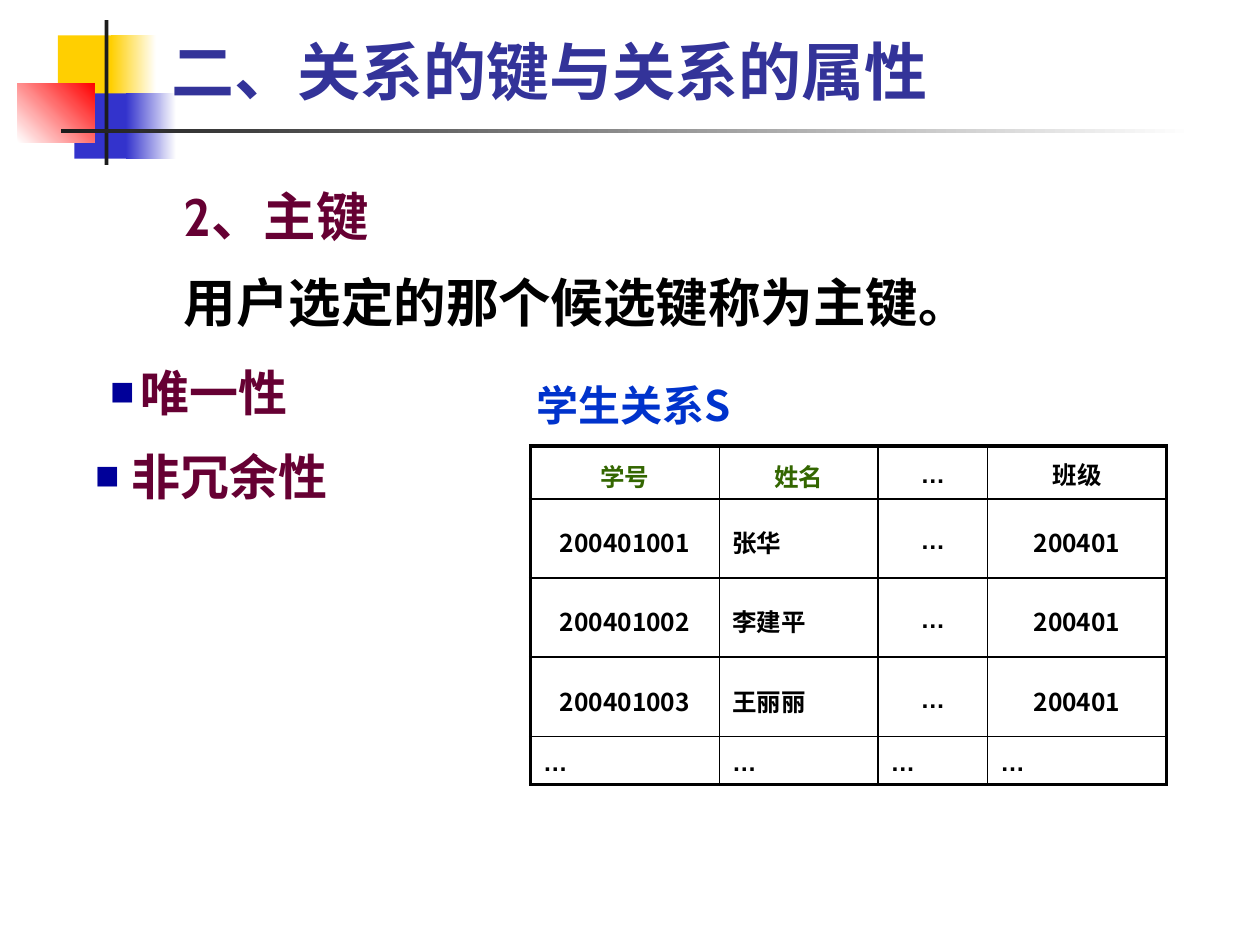
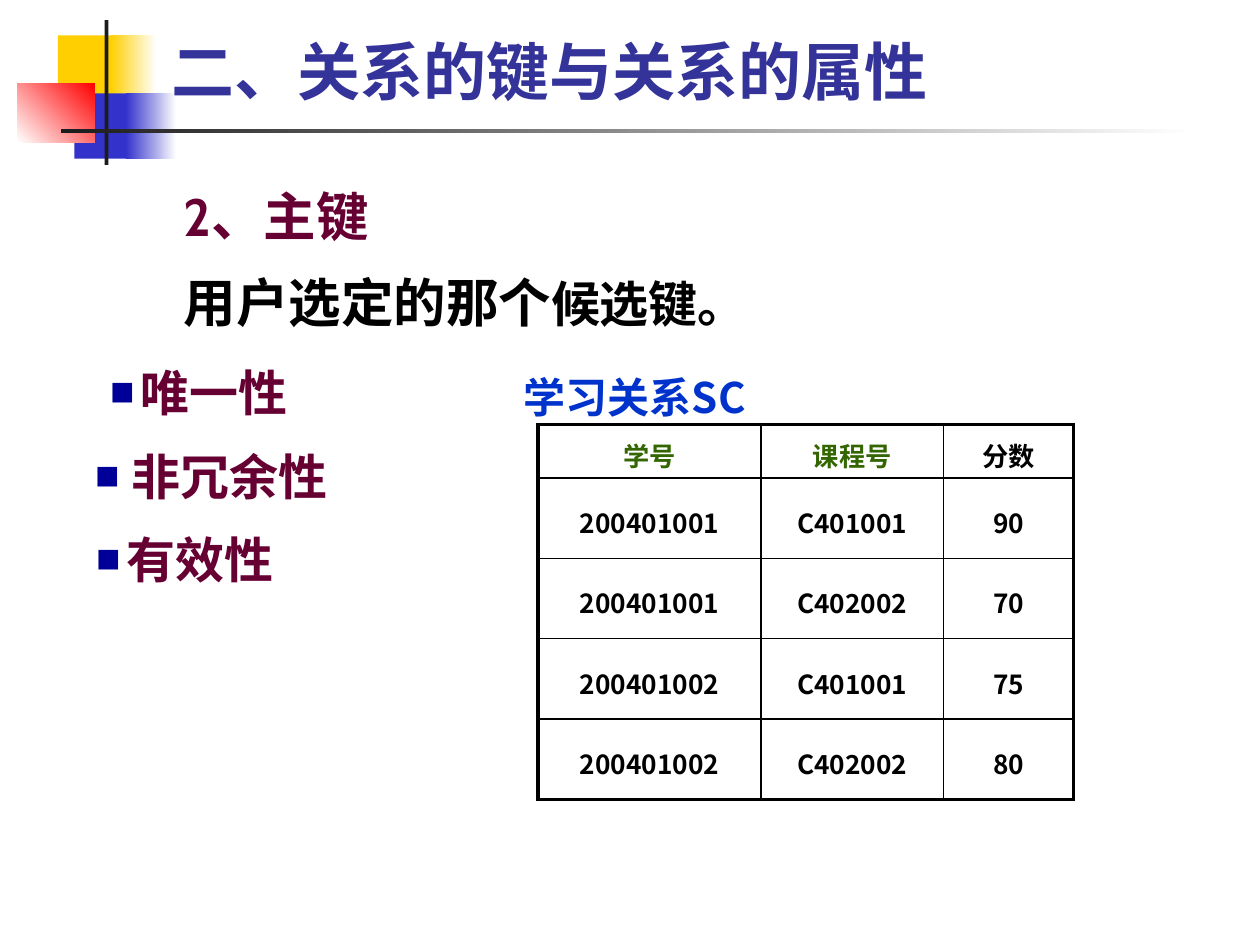
"""Build two slides on primary keys, each with a property list and a sample relation table."""
from dataclasses import dataclass
from typing import Any, NamedTuple, Optional

from lxml.etree import SubElement, Element
from pptx import Presentation
from pptx.dml.color import RGBColor
from pptx.enum.shapes import MSO_SHAPE
from pptx.enum.text import MSO_ANCHOR as Anchor, MSO_AUTO_SIZE as AutoSize, PP_ALIGN as Align
from pptx.oxml.ns import qn
from pptx.util import Pt

BLACK = RGBColor(0x00, 0x00, 0x00)
WHITE = RGBColor(0xFF, 0xFF, 0xFF)
YELLOW = RGBColor(0xFF, 0xCF, 0x01)
BLUE = RGBColor(0x33, 0x33, 0xCC)
RED = RGBColor(0xFF, 0x00, 0x00)
CHARCOAL = RGBColor(0x1C, 0x1C, 0x1C)
TITLE_BLUE = RGBColor(0x33, 0x33, 0x99)
MAROON = RGBColor(0x66, 0x00, 0x33)
BULLET_BLUE = RGBColor(0x00, 0x00, 0x99)
CAPTION_BLUE = RGBColor(0x00, 0x33, 0xCC)
KEY_GREEN = RGBColor(0x33, 0x66, 0x00)

CABIN, NOTO, ARIAL = "Cabin", "Noto Sans CJK SC", "Arial"
TITLE = "二、关系的键与关系的属性"
OUTER_LINE, INNER_LINE = 2.25, 1
KEY_COLUMNS = 2


class Area(NamedTuple):
    left: float
    top: float
    width: float
    height: float


class Band(NamedTuple):
    area: Area
    start: RGBColor
    end: Optional[RGBColor] = None
    angle: float = 0


class Span(NamedTuple):
    text: str
    size: float
    color: RGBColor


class Line(NamedTuple):
    spans: list[Span]
    margin: float
    before: float
    spacing: float = 1.2
    hang: float = 0


@dataclass
class Relation:
    caption: str
    caption_area: Area
    area: Area
    widths: list[float]
    heights: list[float]
    rows: list[list[str]]
    size: float
    inset: float
    header_font: str
    left_column: Optional[int] = None


@dataclass
class KeySlide:
    definition: list[Span]
    properties: list[Line]
    relation: Relation


TITLE_AREA = Area(90.7, 16.6, 613.4, 49)
BODY_AREA = Area(36.7, 94.3, 646.6, 420.5)
BANDS = [
    Band(Area(33.1, 20.2, 34.6, 37.4), YELLOW),
    Band(Area(63.4, 20.2, 25.9, 37.4), YELLOW, WHITE),
    Band(Area(42.5, 53.3, 33.1, 37.4), BLUE),
    Band(Area(72, 53.3, 28.8, 37.4), BLUE, WHITE),
    Band(Area(10.1, 47.5, 43.9, 33.8), WHITE, RED, 45),
    Band(Area(59.8, 11.5, 2.2, 82.8), CHARCOAL),
    Band(Area(34.6, 73.6, 648, 2.2), CHARCOAL, WHITE),
]


def property_line(text: str, margin: float, hang: float, before: float = 5.6) -> Line:
    """Describe one bulleted property."""
    return Line([Span(text, 28, MAROON)], margin, before, 1.25, hang)


UNIQUE = property_line("唯一性", 36.5, 17.2, 8.6)
MINIMAL = property_line("非冗余性", 31.2, 20.5)
VALID = property_line("有效性", 28.4, 17.2)

STUDENTS = Relation(
    "学生关系S", Area(299.5, 213.1, 162.7, 36), Area(303.1, 254.9, 363.6, 190.8),
    [108, 90.7, 62.6, 102.2], [27.4, 45.2, 45.2, 45.2, 27.4],
    [["学号", "姓名", "…", "班级"],
     ["200401001", "张华", "…", "200401"],
     ["200401002", "李建平", "…", "200401"],
     ["200401003", "王丽丽", "…", "200401"],
     ["…", "…", "…", "…"]],
    14, 2.9, CABIN, left_column=1)

COURSES = Relation(
    "学习关系SC", Area(292.3, 208.8, 162.7, 36), Area(307.4, 242.6, 306, 209.5),
    [127.4, 104.4, 74.2], [25.9, 46, 46, 46, 46],
    [["学号", "课程号", "分数"],
     ["200401001", "C401001", "90"],
     ["200401001", "C402002", "70"],
     ["200401002", "C401001", "75"],
     ["200401002", "C402002", "80"]],
    15, 2.2, NOTO)

KEY_SLIDES = [
    KeySlide([Span("用户选定的那个候选键称为主键", 30, BLACK), Span("。", 28, BLACK)],
             [UNIQUE, MINIMAL], STUDENTS),
    KeySlide([Span("用户选定的那个", 30, BLACK), Span("候选键。", 28, BLACK)],
             [UNIQUE, MINIMAL, VALID], COURSES),
]


def assign(target: Any, values: dict[str, Any]) -> None:
    """Set each named attribute of the target."""
    for name, value in values.items():
        setattr(target, name, value)


def place(shape: Any, area: Area) -> None:
    """Move and size a shape."""
    assign(shape, {name: Pt(value) for name, value in area._asdict().items()})


def add_span(para: Any, span: Span, font_name: str) -> Any:
    """Add a bold run in the given typeface for Latin and Chinese text."""
    run = para.add_run()
    run.text = span.text
    assign(run.font, {"size": Pt(span.size), "bold": True, "name": font_name})
    run.font.color.rgb = span.color
    SubElement(run.font._element, qn("a:ea"), typeface=font_name)
    return run


def add_bands(slide: Any) -> None:
    """Draw the coloured squares and rules around the title."""
    for band in BANDS:
        box = slide.shapes.add_shape(MSO_SHAPE.RECTANGLE, *map(Pt, band.area))
        box.shadow.inherit = False
        box.line.fill.background()
        if band.end is None:
            box.fill.solid()
            box.fill.fore_color.rgb = band.start
        else:
            box.fill.gradient()
            box.fill.gradient_angle = band.angle
            for stop, color in zip(box.fill.gradient_stops, (band.start, band.end)):
                stop.color.rgb = color


def add_title(slide: Any) -> None:
    """Fill the title placeholder and bring it to the front."""
    title = slide.shapes.title
    place(title, TITLE_AREA)
    assign(title.text_frame, {"vertical_anchor": Anchor.BOTTOM, "word_wrap": True,
                              "auto_size": AutoSize.NONE})
    para = title.text_frame.paragraphs[0]
    para.alignment = Align.LEFT
    add_span(para, Span(TITLE, 36, TITLE_BLUE), CABIN)
    slide.shapes.element.append(title.element)


def set_bullet(para: Any, line: Line) -> None:
    """Set the indents of a paragraph and its square bullet, if it has one."""
    properties = para._p.get_or_add_pPr()
    properties.set("marL", str(Pt(line.margin)))
    properties.set("indent", str(-Pt(line.hang)))
    if not line.hang:
        SubElement(properties, qn("a:buNone"))
        return
    color = SubElement(properties, qn("a:buClr"))
    SubElement(color, qn("a:srgbClr"), val=str(BULLET_BLUE))
    SubElement(properties, qn("a:buSzPct"), val="50000")
    SubElement(properties, qn("a:buFont"), typeface=NOTO)
    SubElement(properties, qn("a:buChar"), char="■")


def add_body(slide: Any, content: KeySlide) -> None:
    """Fill the body placeholder with heading, definition and properties."""
    body = slide.placeholders[1]
    place(body, BODY_AREA)
    frame = body.text_frame
    assign(frame, {"vertical_anchor": Anchor.TOP, "word_wrap": True, "auto_size": AutoSize.NONE})
    lines = [Line([Span("2、主键", 30, MAROON)], 61, 0),
             Line(content.definition, 61, 6), *content.properties]
    for index, line in enumerate(lines):
        para = frame.add_paragraph() if index else frame.paragraphs[0]
        assign(para, {"line_spacing": line.spacing, "space_before": Pt(line.before)})
        set_bullet(para, line)
        for span in line.spans:
            add_span(para, span, CABIN)
    slide.shapes.element.append(body.element)


def set_borders(cell: Any, widths: dict[str, float]) -> None:
    """Draw black borders of the given widths, placed before the cell fill."""
    properties = cell._tc.get_or_add_tcPr()
    for index, (side, width) in enumerate(widths.items()):
        border = Element(qn(f"a:ln{side}"), w=str(Pt(width)))
        fill = SubElement(border, qn("a:solidFill"))
        SubElement(fill, qn("a:srgbClr"), val=str(BLACK))
        properties.insert(index, border)


def cell_font(text: str, is_header: bool, column: int, relation: Relation) -> str:
    """Choose the typeface of a table cell."""
    if text == "…":
        return ARIAL
    return relation.header_font if is_header and column >= KEY_COLUMNS else NOTO


def add_relation(slide: Any, relation: Relation) -> None:
    """Draw a relation table with heavy outer borders."""
    last_row, last_column = len(relation.heights) - 1, len(relation.widths) - 1
    table = slide.shapes.add_table(last_row + 1, last_column + 1, *map(Pt, relation.area)).table
    assign(table, {"first_row": False, "horz_banding": False})
    for column, width in zip(table.columns, relation.widths):
        column.width = Pt(width)
    for row, height in zip(table.rows, relation.heights):
        row.height = Pt(height)
    for row, texts in enumerate(relation.rows):
        for column, text in enumerate(texts):
            cell = table.cell(row, column)
            cell.fill.background()
            assign(cell, {"vertical_anchor": Anchor.MIDDLE,
                          "margin_left": Pt(7.2), "margin_right": Pt(7.2),
                          "margin_top": Pt(relation.inset), "margin_bottom": Pt(relation.inset)})
            edges = {"L": column == 0, "R": column == last_column,
                     "T": row == 0, "B": row == last_row}
            set_borders(cell, {side: OUTER_LINE if outer else INNER_LINE
                               for side, outer in edges.items()})
            is_left = texts[0] == "…" or (row > 0 and column == relation.left_column)
            para = cell.text_frame.paragraphs[0]
            assign(para, {"alignment": Align.LEFT if is_left else Align.CENTER,
                          "line_spacing": 1.2})
            color = KEY_GREEN if row == 0 and column < KEY_COLUMNS else BLACK
            add_span(para, Span(text, relation.size, color),
                     cell_font(text, row == 0, column, relation))


def add_caption(slide: Any, relation: Relation) -> None:
    """Add the shadowed name of the relation above its table."""
    box = slide.shapes.add_textbox(*map(Pt, relation.caption_area))
    assign(box.text_frame, {"word_wrap": True, "auto_size": AutoSize.SHAPE_TO_FIT_TEXT})
    run = add_span(box.text_frame.paragraphs[0], Span(relation.caption, 24, CAPTION_BLUE), NOTO)
    effects = Element(qn("a:effectLst"))
    shadow = SubElement(effects, qn("a:outerShdw"), dist=str(Pt(2)), dir="2700000")
    SubElement(shadow, qn("a:srgbClr"), val=str(BLACK))
    run.font._element.find(qn("a:solidFill")).addnext(effects)


def main() -> None:
    """Build and save the deck."""
    deck = Presentation()
    assign(deck, {"slide_width": Pt(720), "slide_height": Pt(540)})
    for content in KEY_SLIDES:
        page = deck.slides.add_slide(deck.slide_layouts[1])
        add_bands(page)
        add_body(page, content)
        add_relation(page, content.relation)
        add_caption(page, content.relation)
        add_title(page)
    deck.save("out.pptx")


if __name__ == "__main__":
    main()
